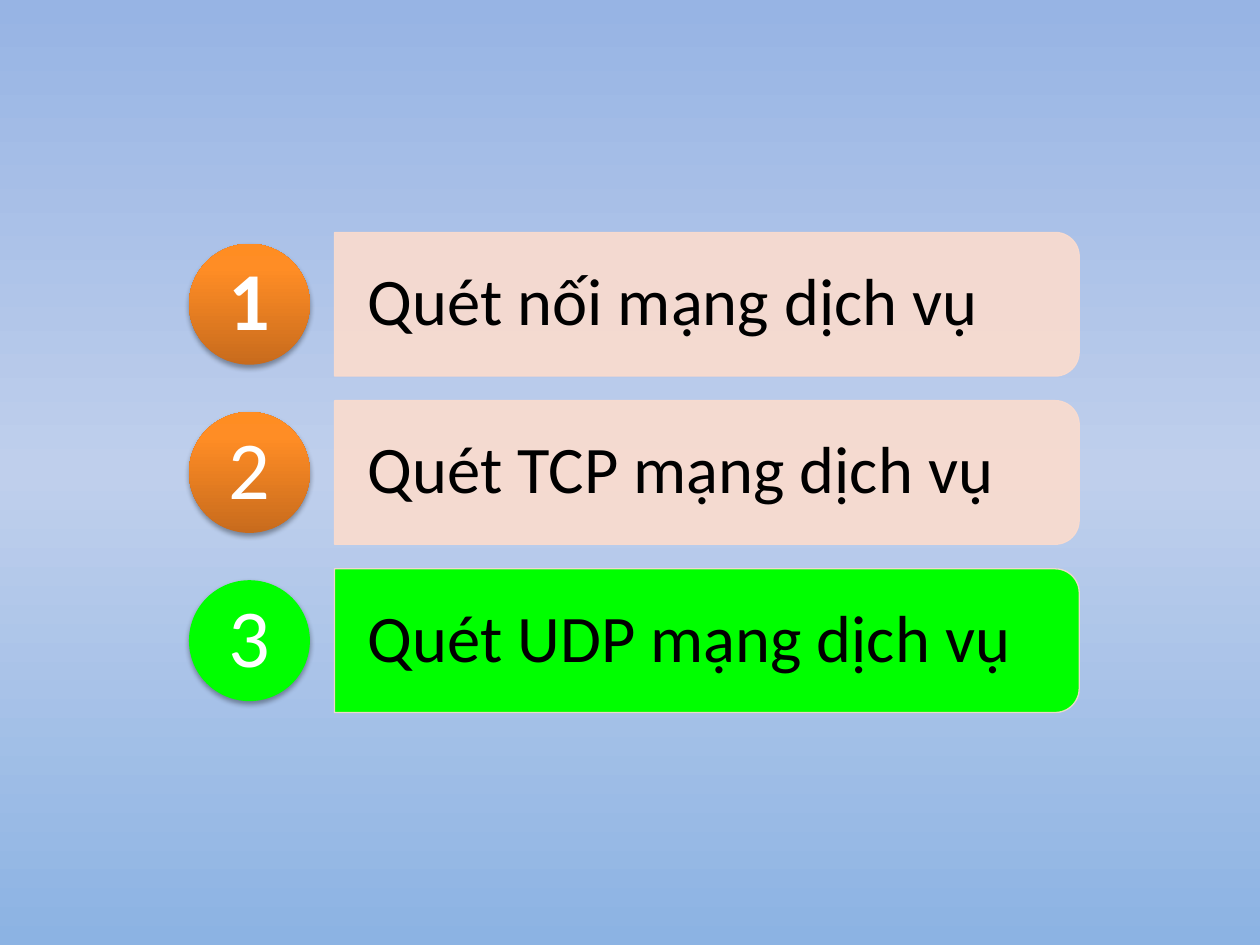
import lxml.etree
import pptx
import pptx.dml.color
import pptx.enum.shapes
import pptx.enum.text
import pptx.oxml.ns
import pptx.util

SHAPE = pptx.enum.shapes.MSO_SHAPE
ALIGN = pptx.enum.text.PP_ALIGN
qn = pptx.oxml.ns.qn


class Theme:
    font = "Calibri"
    item, digit = 38, 47
    ink, white = "000000", "FFFFFF"
    peach, green = "FBDCCE", "00FF00"
    sky = [(0, "97B4E4"), (50, "BFCFEC"), (100, "8CB3E3")]
    orange = [(0, "C86B1D"), (80, "FF8D25"), (100, "FF8D22")]


def rgb(code):
    return pptx.dml.color.RGBColor.from_string(code)


def add(node, tag, **attrs):
    return lxml.etree.SubElement(node, qn(tag), {k: str(v) for k, v in attrs.items()})


class Deck:
    """Places parts by their centre on a grid of 100 columns by 75 rows."""

    cols, rows = 100, 75

    def __init__(self, theme):
        self.theme = theme
        self.file = pptx.Presentation()
        self.file.slide_width = pptx.util.Inches(10)
        self.file.slide_height = pptx.util.Inches(7.5)
        self.slide = self.file.slides.add_slide(self.file.slide_layouts[6])

    def box(self, x, y, wide, high):
        col = self.file.slide_width / self.cols
        row = self.file.slide_height / self.rows
        return [round(n) for n in ((x - wide / 2) * col, (y - high / 2) * row,
                                   wide * col, high * row)]

    def blend(self, fill, root, stops, angle):
        fill.gradient()
        grad = next(root.iter(qn("a:gradFill")))
        for child in list(grad):
            grad.remove(child)
        group = add(grad, "a:gsLst")
        for share, code in stops:
            stop = add(group, "a:gs", pos=share * 1000)
            add(stop, "a:srgbClr", val=code)
        add(grad, "a:lin", ang=angle * 60000, scaled=0)

    def sheer(self, root):
        """Make peach parts of a shape slightly transparent."""
        for tint in root.iter(qn("a:srgbClr")):
            if tint.get("val") == self.theme.peach:
                add(tint, "a:alpha", val=90000)

    def back(self, stops):
        self.blend(self.slide.background.fill, self.slide.element, stops, 90)

    def bar(self, x, y, wide, high, color):
        # Turned a quarter so that the round corners face right
        shape = self.slide.shapes.add_shape(
            SHAPE.ROUND_2_SAME_RECTANGLE, *self.box(x, y, high, wide))
        shape.rotation = 90
        shape.adjustments[0], shape.adjustments[1] = 0.167, 0
        shape.shadow.inherit = False
        shape.fill.solid()
        shape.fill.fore_color.rgb = rgb(color)
        shape.line.color.rgb = rgb(self.theme.peach)
        shape.line.width = pptx.util.Pt(0.75)
        self.sheer(shape.element.spPr)

    def disc(self, x, y, size, color):
        shape = self.slide.shapes.add_shape(SHAPE.OVAL, *self.box(x, y, size, size))
        shape.line.fill.background()
        if isinstance(color, list):
            self.blend(shape.fill, shape.element.spPr, color, 270)
        else:
            shape.fill.solid()
            shape.fill.fore_color.rgb = rgb(color)
        shape.shadow.inherit = False
        shade = add(shape.element.spPr.find(qn("a:effectLst")), "a:outerShdw",
                    blurRad=pptx.util.Pt(3.1), dist=pptx.util.Pt(1.8),
                    dir=90 * 60000, rotWithShape=0)
        add(add(shade, "a:srgbClr", val="000000"), "a:alpha", val=35000)

    def text(self, x, y, wide, high, words, size, color,
             inset=(0, 0), align=ALIGN.LEFT, bold=False):
        frame = self.slide.shapes.add_textbox(*self.box(x, y, wide, high)).text_frame
        frame.word_wrap = True
        frame.vertical_anchor = pptx.enum.text.MSO_ANCHOR.MIDDLE
        frame.margin_left = frame.margin_right = pptx.util.Inches(inset[0])
        frame.margin_top = frame.margin_bottom = pptx.util.Inches(inset[1])
        para = frame.paragraphs[0]
        para.alignment, para.line_spacing = align, 0.9
        run = para.add_run()
        run.text = words
        run.font.name, run.font.size = self.theme.font, pptx.util.Pt(size)
        run.font.bold = bold
        run.font.color.rgb = rgb(color)


def main():
    theme = Theme()
    deck = Deck(theme)
    deck.back(theme.sky)

    # Agenda rows: words, bar colour, disc colour, bold digit
    items = [
        ("Quét nối mạng dịch vụ", theme.peach, theme.orange, True),
        ("Quét TCP mạng dịch vụ", theme.peach, theme.orange, False),
        ("Quét UDP mạng dịch vụ", theme.green, theme.green, False),
    ]
    first, step = 24.15, 13.35
    for index, (words, fill, disc, bold) in enumerate(items):
        mid = first + index * step
        # Bar and its label
        deck.bar(56.1, mid, 59.1, 11.4, fill)
        deck.text(55.8, mid, 58.6, 10.3, words, theme.item, theme.ink,
                  inset=(0.27, 0.18))
        # Numbered disc
        deck.disc(19.8, mid, 9.6, disc)
        deck.text(19.8, mid, 6.8, 6.8, str(index + 1), theme.digit, theme.white,
                  align=ALIGN.CENTER, bold=bold)

    deck.file.save("out.pptx")


if __name__ == "__main__":
    main()
